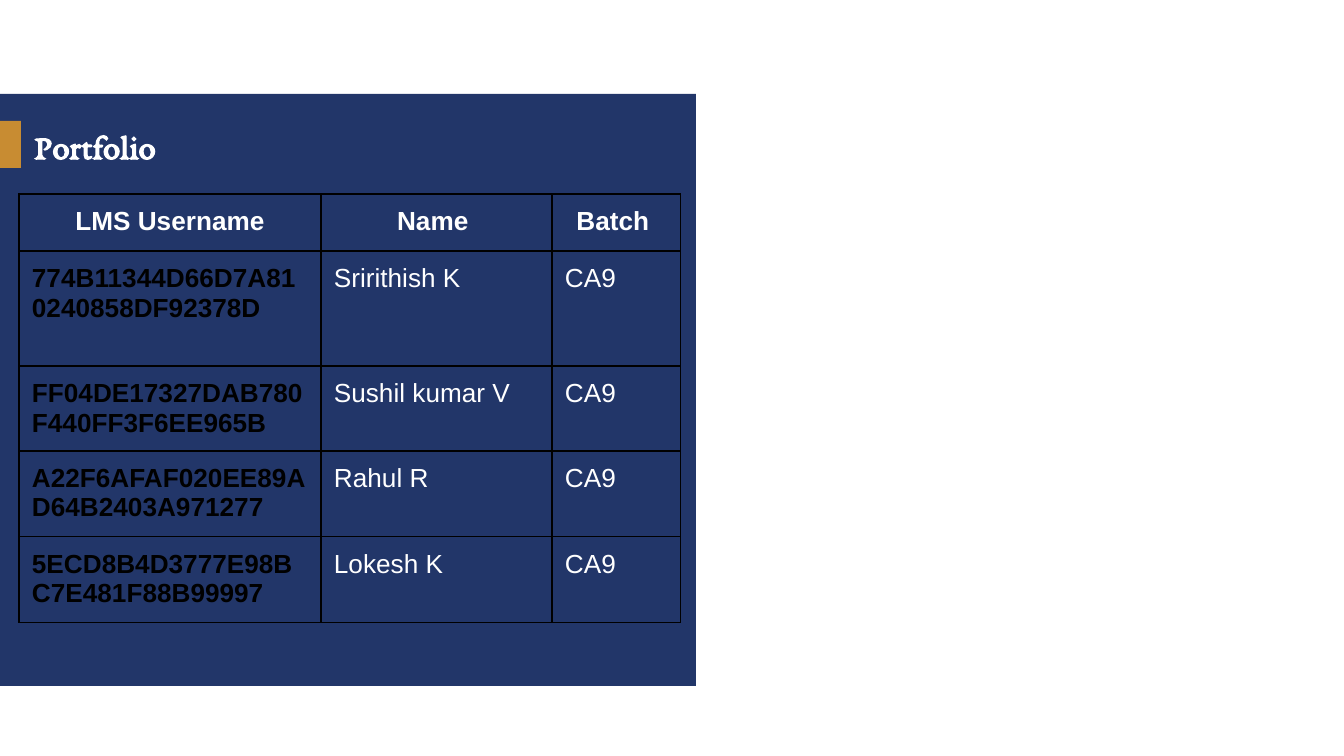
from lxml import etree
from pptx import Presentation
from pptx.dml.color import RGBColor
from pptx.enum.shapes import MSO_SHAPE
from pptx.enum.text import MSO_ANCHOR, MSO_AUTO_SIZE, PP_ALIGN
from pptx.oxml.ns import qn
from pptx.util import Emu, Pt

# Content
TITLE = "Portfolio"
HEADERS = ("LMS Username", "Name ", "Batch ")
STUDENTS = [
    ("774B11344D66D7A810240858DF92378D", "Sririthish K", "CA9"),
    ("FF04DE17327DAB780F440FF3F6EE965B", "Sushil kumar V", "CA9"),
    ("A22F6AFAF020EE89AD64B2403A971277", "Rahul R", "CA9"),
    ("5ECD8B4D3777E98BC7E481F88B99997", "Lokesh K", "CA9"),
]

# Layout in px
SLIDE_SIZE = (1344, 756)
PANEL_BOX = (0, 94, 696, 592)
ACCENT_BOX = (0, 121, 21, 47)
TITLE_BOX = (21, 120, 503, 51)
TABLE_ORIGIN = (19, 194)
COLUMN_WIDTHS = (302, 231, 129)
ROW_HEIGHTS = (57, 115, 85, 86, 86)
CELL_MARGIN = 13

# Style
NAVY = RGBColor(0x22, 0x36, 0x69)
GOLD = RGBColor(0xC8, 0x8C, 0x32)
WHITE = RGBColor(0xFF, 0xFF, 0xFF)
BLACK = RGBColor(0x00, 0x00, 0x00)
TITLE_FONT = "EB Garamond"
TABLE_FONT = "Arial"
BORDER_WIDTH = Pt(0.75)
RECTANGLE = MSO_SHAPE.RECTANGLE
MIDDLE, TOP = MSO_ANCHOR.MIDDLE, MSO_ANCHOR.TOP
LEFT, CENTER = PP_ALIGN.LEFT, PP_ALIGN.CENTER
NO_AUTOFIT = MSO_AUTO_SIZE.NONE


def px(length):
    return Emu(round(length * 914400 / 134.4))


def add_rectangle(slide, box, color):
    shape = slide.shapes.add_shape(RECTANGLE, *map(px, box))
    shape.shadow.inherit = False
    shape.fill.solid()
    shape.fill.fore_color.rgb = color
    shape.line.fill.background()


def write_text(paragraph, text, font_name, size, color, bold, alignment):
    paragraph.alignment = alignment
    run = paragraph.add_run()
    run.text = text
    run.font.name = font_name
    run.font.size = Pt(size)
    run.font.bold = bold
    run.font.color.rgb = color


def add_borders(cell):
    properties = cell._tc.get_or_add_tcPr()
    for position, side in enumerate(("lnL", "lnR", "lnT", "lnB")):
        line = etree.Element(qn(f"a:{side}"), w=str(BORDER_WIDTH))
        fill = etree.SubElement(line, qn("a:solidFill"))
        etree.SubElement(fill, qn("a:srgbClr"), val=str(BLACK))
        properties.insert(position, line)


def add_title(slide):
    title = slide.shapes.title
    title.left, title.top, title.width, title.height = map(px, TITLE_BOX)
    frame = title.text_frame
    frame.auto_size = NO_AUTOFIT
    frame.word_wrap = True
    frame.vertical_anchor = MIDDLE
    write_text(frame.paragraphs[0], TITLE, TITLE_FONT, 18.3, WHITE, True, LEFT)
    # Bring the title in front of the panel
    slide.shapes._spTree.append(title._element)


def add_student_table(slide):
    rows = [HEADERS, *STUDENTS]
    size = (sum(COLUMN_WIDTHS), sum(ROW_HEIGHTS))
    frame = slide.shapes.add_table(
        len(rows), len(HEADERS), *map(px, TABLE_ORIGIN + size))
    table = frame.table
    table.first_row = False
    table.horz_banding = False
    for column, width in zip(table.columns, COLUMN_WIDTHS):
        column.width = px(width)
    for row, height in zip(table.rows, ROW_HEIGHTS):
        row.height = px(height)

    for row_index, values in enumerate(rows):
        is_header = row_index == 0
        for column_index, text in enumerate(values):
            is_username = column_index == 0 and not is_header
            cell = table.cell(row_index, column_index)
            cell.fill.background()
            cell.margin_left = cell.margin_right = px(CELL_MARGIN)
            cell.margin_top = cell.margin_bottom = px(CELL_MARGIN)
            cell.vertical_anchor = TOP
            add_borders(cell)
            write_text(cell.text_frame.paragraphs[0], text, TABLE_FONT, 14,
                       BLACK if is_username else WHITE,
                       is_header or is_username,
                       CENTER if is_header else LEFT)


def main():
    presentation = Presentation()
    presentation.slide_width, presentation.slide_height = map(px, SLIDE_SIZE)
    slide = presentation.slides.add_slide(presentation.slide_layouts[5])
    add_rectangle(slide, PANEL_BOX, NAVY)
    add_rectangle(slide, ACCENT_BOX, GOLD)
    add_title(slide)
    add_student_table(slide)
    presentation.save("out.pptx")


if __name__ == "__main__":
    main()
